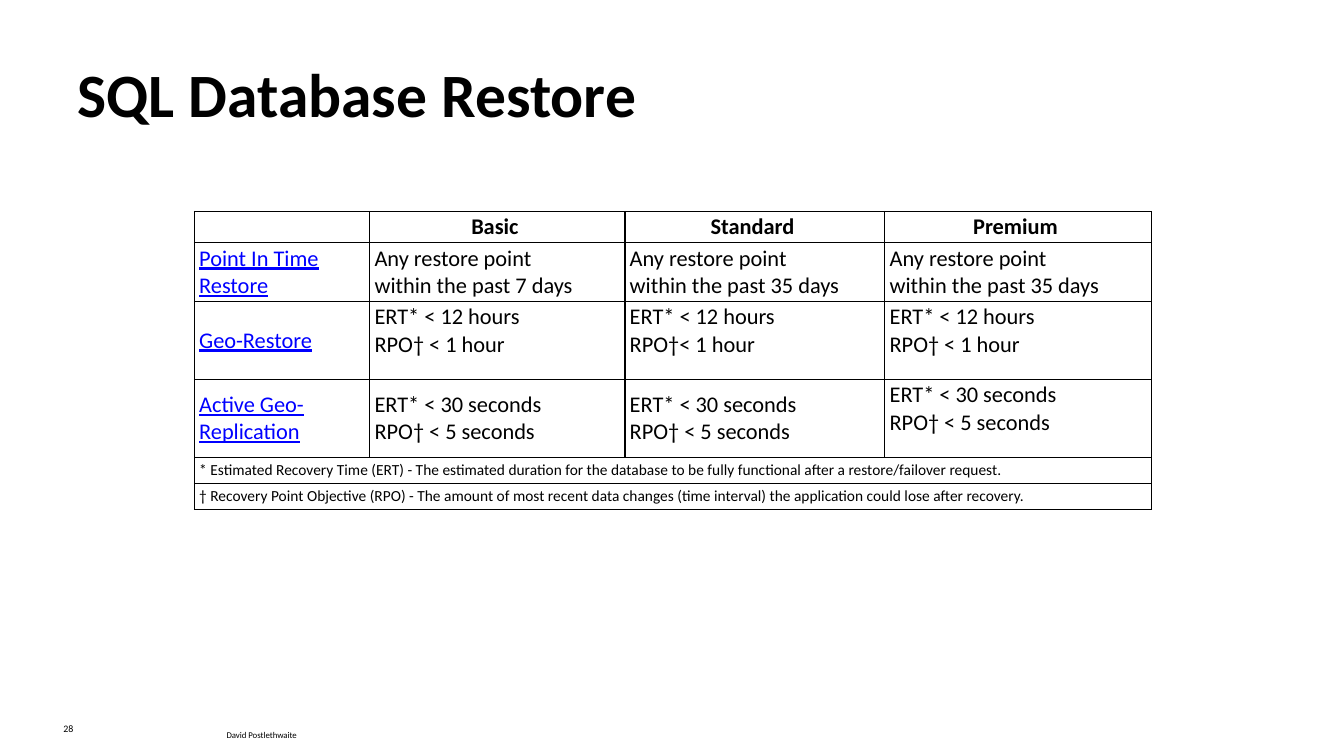
"""Build the SQL Database Restore slide with its table of recovery times."""
from lxml.etree import SubElement
from pptx import Presentation
from pptx.dml.color import RGBColor
from pptx.enum.text import MSO_ANCHOR as Anchor, MSO_AUTO_SIZE as Auto, PP_ALIGN as Align
from pptx.oxml import parse_xml
from pptx.oxml.ns import nsdecls, qn
from pptx.util import Cm, Pt

BLACK = RGBColor(0, 0, 0)
WHITE = RGBColor(255, 255, 255)
BLUE = RGBColor(0, 0, 255)
FONT = "Calibri"


def style(frame, size, bold=False, color=BLACK):
    for par in frame.paragraphs:
        for run in par.runs:
            font = run.font
            font.name, font.size, font.bold = FONT, Pt(size), bold
            font.color.rgb = color


def border(cell):
    props = cell._tc.get_or_add_tcPr()
    for side in ("lnL", "lnR", "lnT", "lnB"):
        props.append(parse_xml(
            f'<a:{side} {nsdecls("a")} w="12700"><a:solidFill>'
            f'<a:srgbClr val="{BLACK}"/></a:solidFill></a:{side}>'))


deck = Presentation()
deck.slide_width, deck.slide_height = Cm(33.87), Cm(19.05)
slide = deck.slides.add_slide(deck.slide_layouts[5])

title = slide.shapes.title
title.left, title.top, title.width, title.height = Cm(1.7), Cm(0.76), Cm(30.48), Cm(3.18)
frame = title.text_frame
frame.text = "SQL Database Restore"
frame.auto_size = Auto.NONE
frame.vertical_anchor = Anchor.MIDDLE
frame.paragraphs[0].alignment = Align.LEFT
style(frame, 44, True)

FEET = [
    ("28", 1.35, 18.08, 1.12, 0.56, 7.1, True),
    ("David Postlethwaite", 5.46, 18.26, 2.36, 0.53, 6.3, False),
]
for text, left, top, width, height, size, wrap in FEET:
    frame = slide.shapes.add_textbox(Cm(left), Cm(top), Cm(width), Cm(height)).text_frame
    frame.text = text
    frame.word_wrap = wrap
    style(frame, size)

HOURS = "ERT* < 12 hours\nRPO† < 1 hour"
SECS = "ERT* < 30 seconds\nRPO† < 5 seconds"
MONTH = "Any restore point \vwithin the past 35 days"
ROWS = [
    ["", "Basic ", "Standard ", "Premium "],
    ["Point In Time Restore", "Any restore point \vwithin the past 7 days", MONTH, MONTH],
    ["Geo-Restore", HOURS, "ERT* < 12 hours\nRPO†< 1 hour", HOURS],
    ["Active Geo-Replication", SECS, SECS, SECS],
    ["* Estimated Recovery Time (ERT) - The estimated duration for the database "
     "to be fully functional after a restore/failover request.", "", "", ""],
    ["† Recovery Point Objective (RPO) - The amount of most recent data changes "
     "(time interval) the application could lose after recovery.", "", "", ""],
]
WIDTHS = [4.42, 6.43, 6.55, 6.71]
HEIGHTS = [0.79, 1.48, 1.96, 1.96, 0.66, 0.66]
HIGH = {(2, 1), (2, 2), (2, 3), (3, 3)}

grid = slide.shapes.add_table(len(ROWS), len(WIDTHS), Cm(4.9), Cm(5.33),
                              Cm(sum(WIDTHS)), Cm(sum(HEIGHTS))).table
for col, width in zip(grid.columns, WIDTHS):
    col.width = Cm(width)
for row, height in zip(grid.rows, HEIGHTS):
    row.height = Cm(height)

for r, row in enumerate(ROWS):
    note = r > 3
    size = 11 if note else 16
    for c, text in enumerate(row):
        cell = grid.cell(r, c)
        border(cell)
        cell.fill.solid()
        cell.fill.fore_color.rgb = WHITE
        cell.margin_left = cell.margin_right = Cm(0.12)
        cell.margin_top = cell.margin_bottom = Cm(0.05)
        cell.vertical_anchor = Anchor.TOP if (r, c) in HIGH else Anchor.MIDDLE
        frame = cell.text_frame
        frame.text = text
        link = c == 0 and 0 < r < 4
        style(frame, size, r == 0, BLUE if link else BLACK)
        first = frame.paragraphs[0]
        if link:
            first.runs[0].font.underline = True
        if r == 0:
            first.alignment = Align.CENTER
        if not text:
            SubElement(first._p, qn("a:endParaRPr"), sz=str(size * 100))
    if note:
        grid.cell(r, 0).merge(grid.cell(r, 3))

deck.save("out.pptx")
